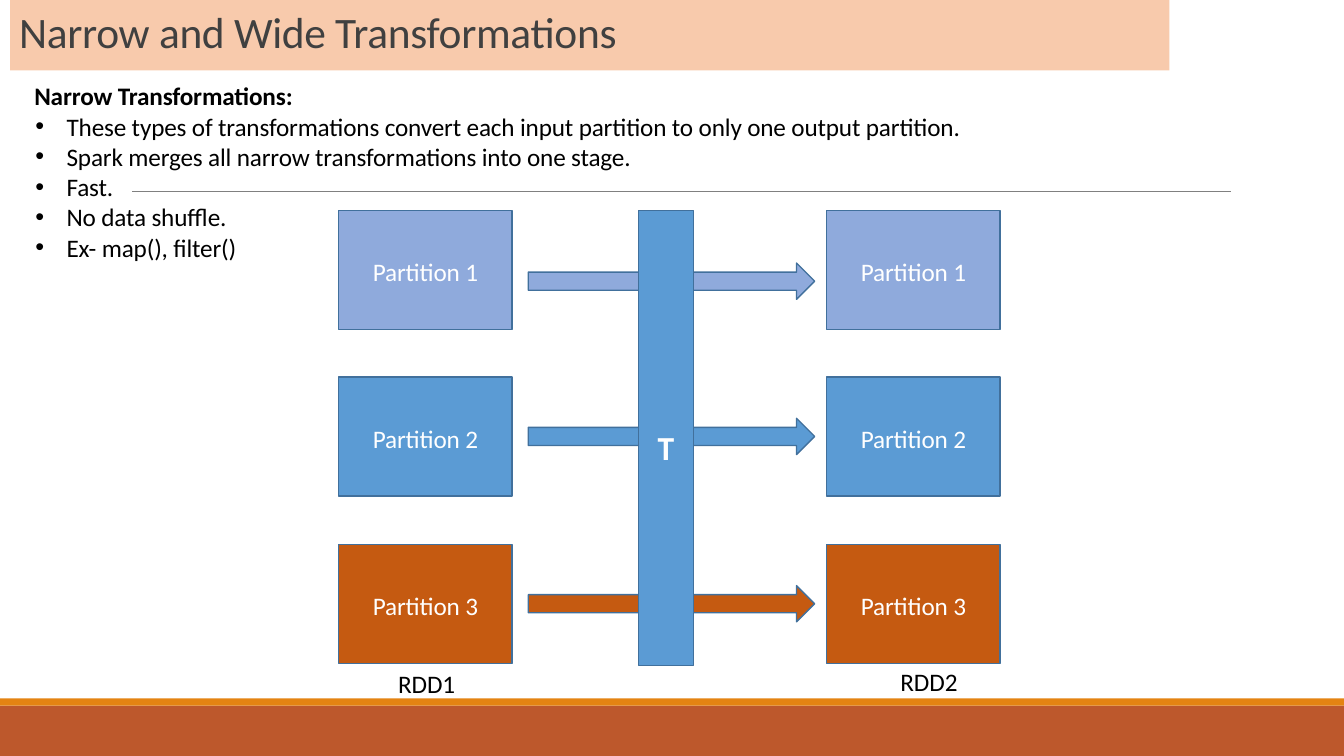
from pptx import Presentation
from pptx import util as u
from pptx.dml.color import RGBColor
from pptx.enum import shapes, text
from pptx.oxml.ns import qn
from lxml import etree

PX = 9144  # 100 px to the inch
COLORS = {
    "brick": "BD582C", "amber": "E48312", "rule": "808080", "banner": "F8CAAC",
    "title": "404040", "black": "000000", "white": "FFFFFF", "outline": "41709C",
    "lavender": "8FAADC", "blue": "5B9BD4", "rust": "C55A11",
}
BULLETS = [
    "These types of transformations convert each input partition to only one output partition.",
    "Spark merges all narrow transformations into one stage.",
    "Fast.",
    "No data shuffle.",
    "Ex- map(), filter()",
]
# Partition name, colour, box top, arrow top
PARTITIONS = [
    ("Partition 1", "lavender", 209, 261),
    ("Partition 2", "blue", 374, 415),
    ("Partition 3", "rust", 540, 581),
]


def color(name):
    return RGBColor.from_string(COLORS[name])


def place(shape, left, top, width, height):
    shape.left, shape.top = left * PX, top * PX
    shape.width, shape.height = width * PX, height * PX


def write(shape, lines, size=18, ink="black", bold=False, align="LEFT",
          anchor="TOP", before=0, spacing=-10, inset=1, wrap=True, bullet=False):
    """Fill a shape with one paragraph per line in a single format."""
    frame = shape.text_frame
    frame.word_wrap = wrap
    frame.auto_size = text.MSO_AUTO_SIZE.NONE
    frame.vertical_anchor = text.MSO_ANCHOR[anchor]
    frame.margin_left = frame.margin_right = frame.margin_bottom = 0
    frame.margin_top = inset * PX
    for index, line in enumerate(lines):
        para = frame.add_paragraph() if index else frame.paragraphs[0]
        para.alignment = text.PP_ALIGN[align]
        para.space_before = u.Pt(0 if index else before)
        if bullet:
            props = para._p.get_or_add_pPr()
            props.set("marL", str(32 * PX))
            props.set("indent", str(-31 * PX))
            etree.SubElement(props, qn("a:buFont")).set("typeface", "Arial")
            etree.SubElement(props, qn("a:buChar")).set("char", "•")
        span = para.add_run()
        span.text = line
        span.font.name = "Calibri"
        span.font.size = u.Pt(size)
        span.font.bold = bold
        span.font.color.rgb = color(ink)
        span.font._element.set("spc", str(spacing))


def add_block(page, kind, box, fill, outline=None):
    shape = page.shapes.add_shape(shapes.MSO_SHAPE[kind], *(v * PX for v in box))
    shape.shadow.inherit = False
    shape.fill.solid()
    shape.fill.fore_color.rgb = color(fill)
    if outline:
        shape.line.color.rgb = color(outline)
        shape.line.width = u.Pt(0.96)
    else:
        shape.line.fill.background()
    return shape


def add_label(page, box, line, **style):
    label = page.shapes.add_textbox(*(v * PX for v in box))
    write(label, [line], before=1, wrap=False, **style)


def add_footer(page, left, top, width, height):
    stripe = 7
    add_block(page, "RECTANGLE", (left, top + stripe, width, height - stripe), "brick")
    add_block(page, "RECTANGLE", (left, top, width, stripe), "amber")


def add_rule(page, left, top, width):
    rule = page.shapes.add_connector(
        shapes.MSO_CONNECTOR.STRAIGHT, left * PX, top * PX, (left + width) * PX, top * PX)
    rule.line.color.rgb = color("rule")
    rule.line.width = u.Pt(0.5)
    etree.SubElement(rule._element.spPr, qn("a:effectLst"))


def add_title(page, left, top, width, height):
    add_block(page, "RECTANGLE", (left, top, width, height), "banner")
    title = page.shapes.title
    place(title, left + 9, top + 3, 700, 54)
    write(title, ["Narrow and Wide Transformations"], size=31, ink="title",
          anchor="BOTTOM", spacing=-20)
    title.element.getparent().append(title.element)  # in front of the banner


def add_description(page, left, top, width, height):
    add_label(page, (left, top, 262, 33), "Narrow Transformations:", bold=True)
    body = page.placeholders[1]
    place(body, left, top + 30, width, height - 30)
    write(body, BULLETS, before=1, bullet=True)


def add_diagram(page, left, top, width, height):
    box_width, box_height = 172, 118
    right = left + width - box_width
    # Input and output partitions with the arrows between them
    for name, fill, box_top, arrow_top in PARTITIONS:
        for box_left in (left, right):
            box = add_block(page, "RECTANGLE", (box_left, box_top, box_width, box_height),
                            fill, "outline")
            write(box, [name], ink="white", align="CENTER", anchor="MIDDLE", inset=3)
        add_block(page, "RIGHT_ARROW", (left + 188, arrow_top, 284, 36), fill, "outline")
    # Transformation bar
    bar = add_block(page, "RECTANGLE", (left + 297, top, 55, height), "blue", "outline")
    write(bar, ["T"], size=24, ink="white", bold=True, align="CENTER",
          anchor="MIDDLE", inset=18)
    # Dataset names
    add_label(page, (left + 59, top + height + 2, 60, 33), "RDD1")
    add_label(page, (right + 73, top + height, 60, 33), "RDD2", spacing=0)


def main():
    deck = Presentation()
    deck.slide_width, deck.slide_height = 1333 * PX, 750 * PX
    page = deck.slides.add_slide(deck.slide_layouts[1])
    add_footer(page, 0, 693, 1333, 57)
    add_rule(page, 131, 190, 1090)
    add_description(page, 34, 79, 935, 183)
    add_diagram(page, 336, 209, 656, 451)
    add_title(page, 10, 0, 1150, 70)
    deck.save("out.pptx")


if __name__ == "__main__":
    main()
